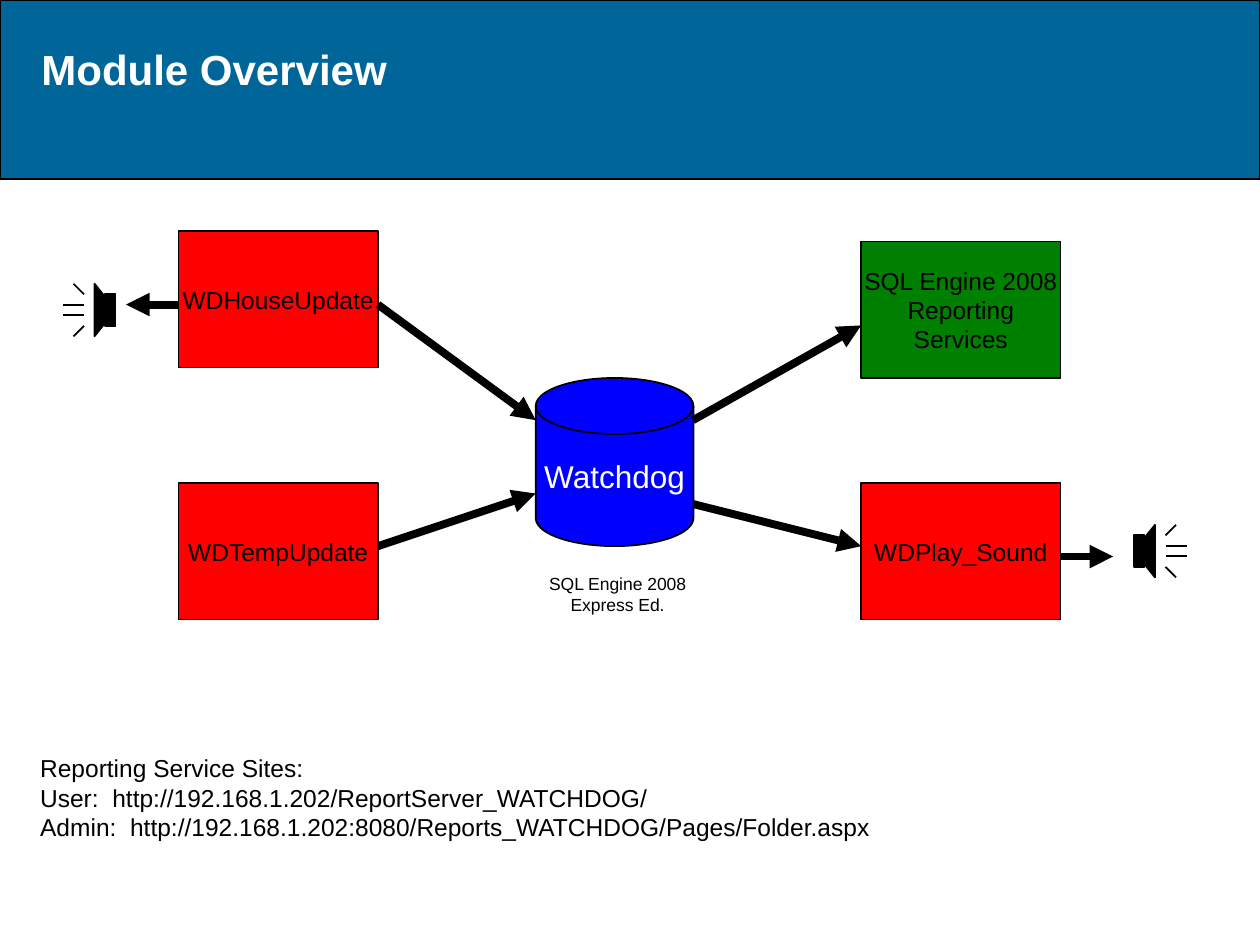
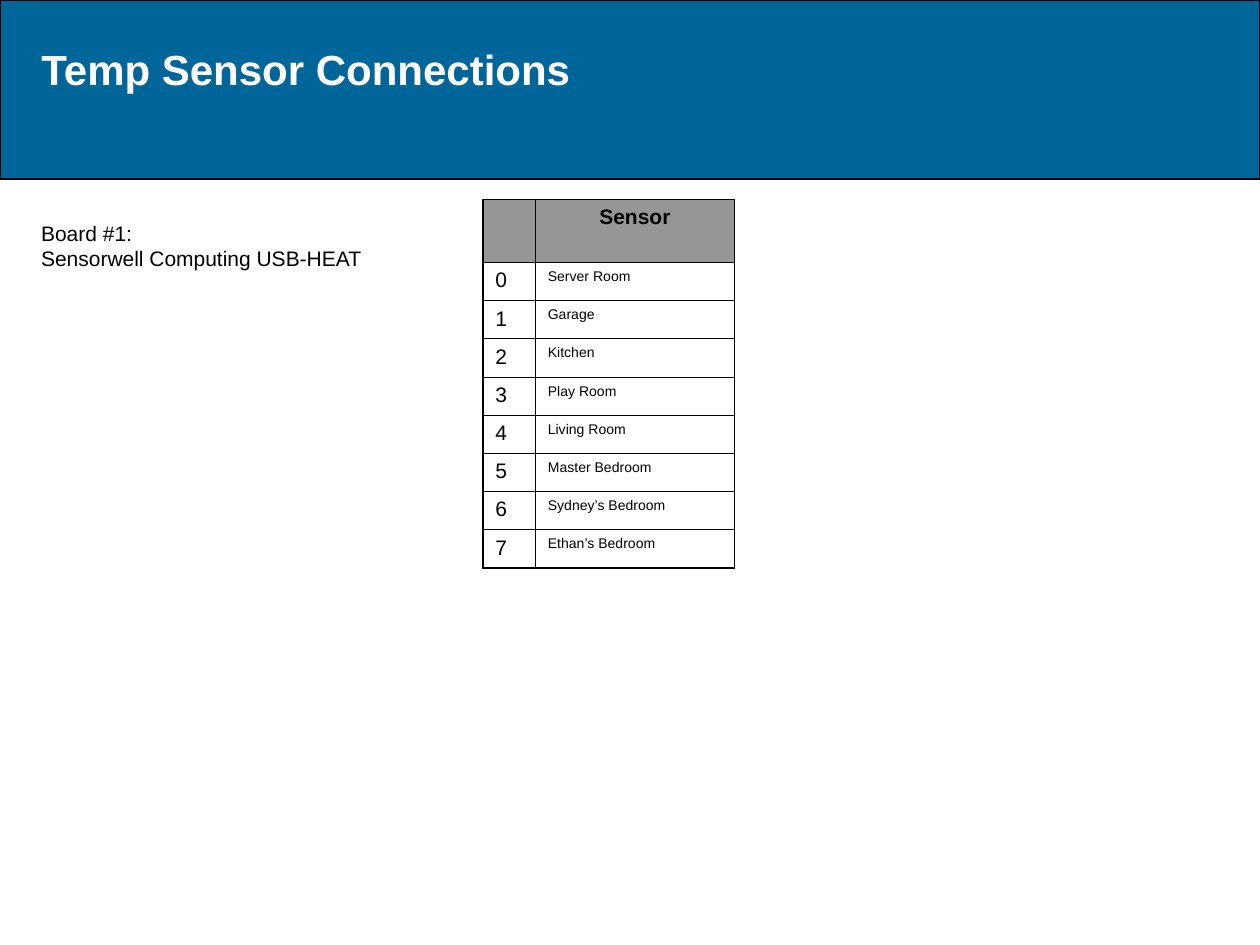
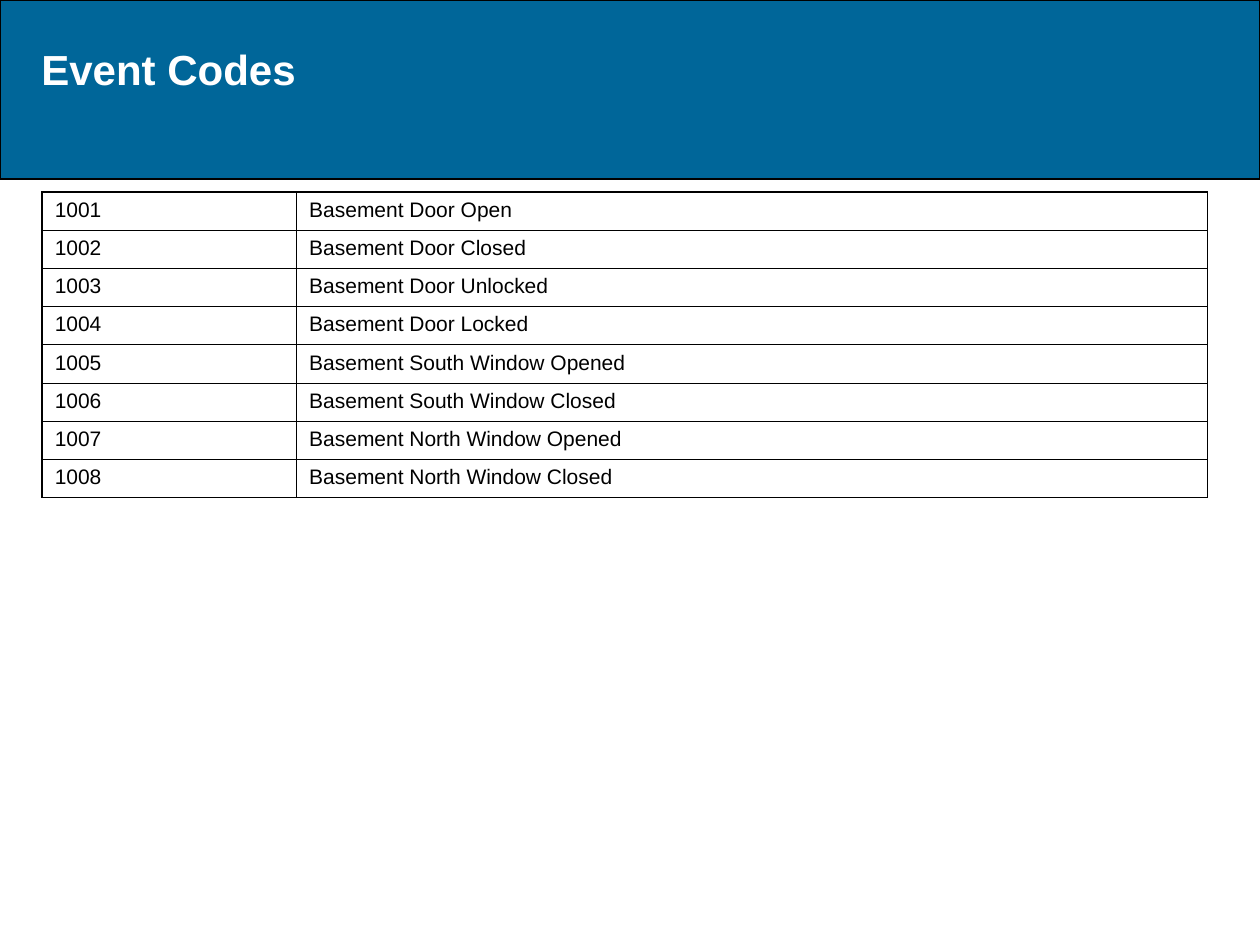
from lxml.etree import SubElement
from pptx import Presentation
from pptx.dml.color import RGBColor
from pptx.enum.shapes import MSO_CONNECTOR, MSO_SHAPE
from pptx.enum.text import MSO_ANCHOR, MSO_AUTO_SIZE, PP_ALIGN
from pptx.oxml.ns import qn
from pptx.util import Cm, Pt

BLACK, WHITE, BLUE, RED, GREEN = "000000", "FFFFFF", "0000FF", "FF0000", "008000"
BAND, HEADER = "006699", "969696"
FONT = "Arial"
THIN, THICK, ARROW = 0.45, 1.08, 4.5
BOX_W, BOX_H = 4.02, 2.75

MODULES = [
    ("WDHouseUpdate", 2.33, 0, RED),
    ("WDTempUpdate", 2.33, 5.08, RED),
    ("WDPlay_Sound", 16.09, 5.08, RED),
    ("SQL Engine 2008\nReporting\nServices", 16.09, 0.21, GREEN),
]
FLOWS = [
    ((6.35, 1.48), (9.53, 3.81)),
    ((6.35, 6.35), (9.53, 5.29)),
    ((12.7, 5.5), (16.09, 6.35)),
    ((12.7, 3.81), (16.09, 1.9)),
    ((20.11, 6.56), (21.17, 6.56)),
    ((2.33, 1.48), (1.27, 1.48)),
]
SITES = """Reporting Service Sites:
User:  http://192.168.1.202/ReportServer_WATCHDOG/
Admin:  http://192.168.1.202:8080/Reports_WATCHDOG/Pages/Folder.aspx"""
ROOMS = ["Server Room", "Garage", "Kitchen", "Play Room", "Living Room",
         "Master Bedroom", "Sydney’s Bedroom", "Ethan’s Bedroom"]
EVENTS = ["Door Open", "Door Closed", "Door Unlocked", "Door Locked",
          "South Window Opened", "South Window Closed",
          "North Window Opened", "North Window Closed"]


def rgb(color):
    return RGBColor.from_string(color)


def set_text(tf, text, size, color=BLACK, bold=False, **para):
    """Write one paragraph per line; para holds paragraph attributes."""
    font = {"name": FONT, "size": Pt(size), "bold": bold}
    for i, line in enumerate(text.split("\n")):
        p = tf.paragraphs[0] if i == 0 else tf.add_paragraph()
        for name, value in para.items():
            setattr(p, name, value)
        r = p.add_run()
        r.text = line
        for name, value in font.items():
            setattr(r.font, name, value)
        r.font.color.rgb = rgb(color)


def paint(sp, fill):
    sp.shadow.inherit = False
    sp.fill.solid()
    sp.fill.fore_color.rgb = rgb(fill)
    sp.line.color.rgb = rgb(BLACK)
    sp.line.width = Pt(1)


def add_box(shapes, kind, x, y, w, h, fill, text="", size=14, color=BLACK):
    sp = shapes.add_shape(kind, Cm(x), Cm(y), Cm(w), Cm(h))
    paint(sp, fill)
    if text:
        tf = sp.text_frame
        tf.word_wrap = False
        tf.vertical_anchor = MSO_ANCHOR.MIDDLE
        set_text(tf, text, size, color, alignment=PP_ALIGN.CENTER)
    return sp


def add_label(slide, x, y, w, h, text, size, **para):
    tf = slide.shapes.add_textbox(Cm(x), Cm(y), Cm(w), Cm(h)).text_frame
    tf.word_wrap = False
    tf.auto_size = MSO_AUTO_SIZE.SHAPE_TO_FIT_TEXT
    set_text(tf, text, size, **para)


def add_line(shapes, start, end, width=1, arrow=False):
    line = shapes.add_connector(MSO_CONNECTOR.STRAIGHT, *map(Cm, start + end))
    line.line.color.rgb = rgb(BLACK)
    line.line.width = Pt(width)
    if arrow:
        SubElement(line.line._get_or_add_ln(), qn("a:tailEnd"), type="triangle")
    SubElement(line.element.spPr, qn("a:effectLst"))


def add_band(slide, layout):
    """Draw the title band and move it to the layout, behind everything."""
    sp = add_box(slide.shapes, MSO_SHAPE.RECTANGLE, 0, 0, 25.4, 3.61, BAND)
    sp.element.nvSpPr.cNvPr.set("id", "20")
    layout.shapes.element.insert(2, sp.element)


def add_titled_slide(prs, layout, title):
    slide = prs.slides.add_slide(layout)
    sp = slide.shapes.title
    place = {"left": 0.58, "top": 0.74, "width": 23.95, "height": 1.27}
    for name, value in place.items():
        setattr(sp, name, Cm(value))
    tf = sp.text_frame
    tf.word_wrap = True
    tf.auto_size = MSO_AUTO_SIZE.NONE
    tf.vertical_anchor = MSO_ANCHOR.TOP
    set_text(tf, title, 24, WHITE, True, alignment=PP_ALIGN.LEFT)
    return slide


def add_speaker(slide, x, y, side, mirrored=False):
    """Draw a loudspeaker in a square box, facing right unless mirrored."""
    shapes = slide.shapes.add_group_shape().shapes

    def at(fx, fy):
        return x + side * (1 - fx if mirrored else fx), y + side * fy

    magnet_x = min(at(0, 0)[0], at(0.2, 0)[0])
    add_box(shapes, MSO_SHAPE.RECTANGLE, magnet_x, y + 0.2 * side,
            0.2 * side, 0.6 * side, BLACK)
    cone = [tuple(map(Cm, at(*pt)))
            for pt in [(0.4, 0), (0.4, 1), (0.2, 0.75), (0.2, 0.25)]]
    builder = shapes.build_freeform(*cone[0])
    builder.add_line_segments(cone[1:], close=True)
    paint(builder.convert_to_shape(), BLACK)
    for start, end in [((0.6, 0.6), (1, 0.6)), ((0.6, 0.4), (1, 0.4)),
                       ((0.6, 0.2), (0.8, 0)), ((0.6, 0.8), (0.8, 1))]:
        add_line(shapes, at(*start), at(*end))


def add_module_diagram(slide, x, y):
    add_box(slide.shapes, MSO_SHAPE.FLOWCHART_MAGNETIC_DISK, x + 9.53, y + 2.96,
            3.18, 3.39, BLUE, "Watchdog", 18, WHITE)
    add_label(slide, x + 9.53, y + 6.77, 3.3, 1.12,
              "SQL Engine 2008\nExpress Ed.", 10, alignment=PP_ALIGN.CENTER)
    for name, dx, dy, fill in MODULES:
        add_box(slide.shapes, MSO_SHAPE.RECTANGLE, x + dx, y + dy,
                BOX_W, BOX_H, fill, name)
    for (x1, y1), (x2, y2) in FLOWS:
        add_line(slide.shapes, (x + x1, y + y1), (x + x2, y + y2), ARROW, True)
    add_speaker(slide, x + 21.59, y + 5.92, 1.06)
    add_speaker(slide, x, y + 1.06, 1.06, mirrored=True)


def set_borders(cell, outer):
    """Rule all four sides, thick on those flagged as outer."""
    tcPr = cell._tc.get_or_add_tcPr()
    for side in "LRTB":
        width = Pt(THICK if outer[side] else THIN)
        ln = SubElement(tcPr, qn(f"a:ln{side}"), w=str(width))
        fill = SubElement(ln, qn("a:solidFill"))
        SubElement(fill, qn("a:srgbClr"), val=BLACK)


def add_grid(slide, x, y, widths, rows, sizes, header=None):
    """Add a ruled table; sizes gives the text size of each column."""
    data = ([header] if header else []) + rows
    heights = [1.27 if header and i == 0 else 0.77 for i in range(len(data))]
    table = slide.shapes.add_table(len(data), len(widths), Cm(x), Cm(y),
                                   Cm(sum(widths)), Cm(sum(heights))).table
    table.first_row = table.horz_banding = False
    for column, width in zip(table.columns, widths):
        column.width = Cm(width)
    for i, values in enumerate(data):
        table.rows[i].height = Cm(heights[i])
        is_header = bool(header) and i == 0
        for j, value in enumerate(values):
            cell = table.cell(i, j)
            set_borders(cell, {"L": j == 0, "R": j == len(widths) - 1,
                               "T": i == 0, "B": i == len(data) - 1})
            if is_header:
                cell.fill.solid()
                cell.fill.fore_color.rgb = rgb(HEADER)
            else:
                cell.fill.background()
            if value:
                size = 12 if is_header else sizes[j]
                align = PP_ALIGN.CENTER if is_header else PP_ALIGN.LEFT
                set_text(cell.text_frame, value, size, bold=is_header,
                         alignment=align, space_before=Pt(size // 4))


def main():
    prs = Presentation()
    prs.slide_width, prs.slide_height = Cm(25.4), Cm(19.05)
    layout = prs.slide_layouts[5]

    slide = add_titled_slide(prs, layout, "Module Overview")
    add_band(slide, layout)
    add_module_diagram(slide, 1.27, 4.66)
    add_label(slide, 0.56, 15.06, 17.32, 2.64, SITES, 14)

    slide = add_titled_slide(prs, layout, "Temp Sensor Connections")
    rooms = [(str(i), room) for i, room in enumerate(ROOMS)]
    add_grid(slide, 9.73, 4.02, (1.06, 4.02), rooms, (12, 8), ("", "Sensor"))
    add_label(slide, 0.58, 4.32, 7.57, 1.78,
              "Board #1:\nSensorwell Computing USB-HEAT", 12)

    slide = add_titled_slide(prs, layout, "Event Codes")
    events = [(str(code), f"Basement {event}")
              for code, event in enumerate(EVENTS, 1001)]
    add_grid(slide, 0.85, 3.87, (5.13, 18.36), events, (12, 12))

    prs.save("out.pptx")


if __name__ == "__main__":
    main()
